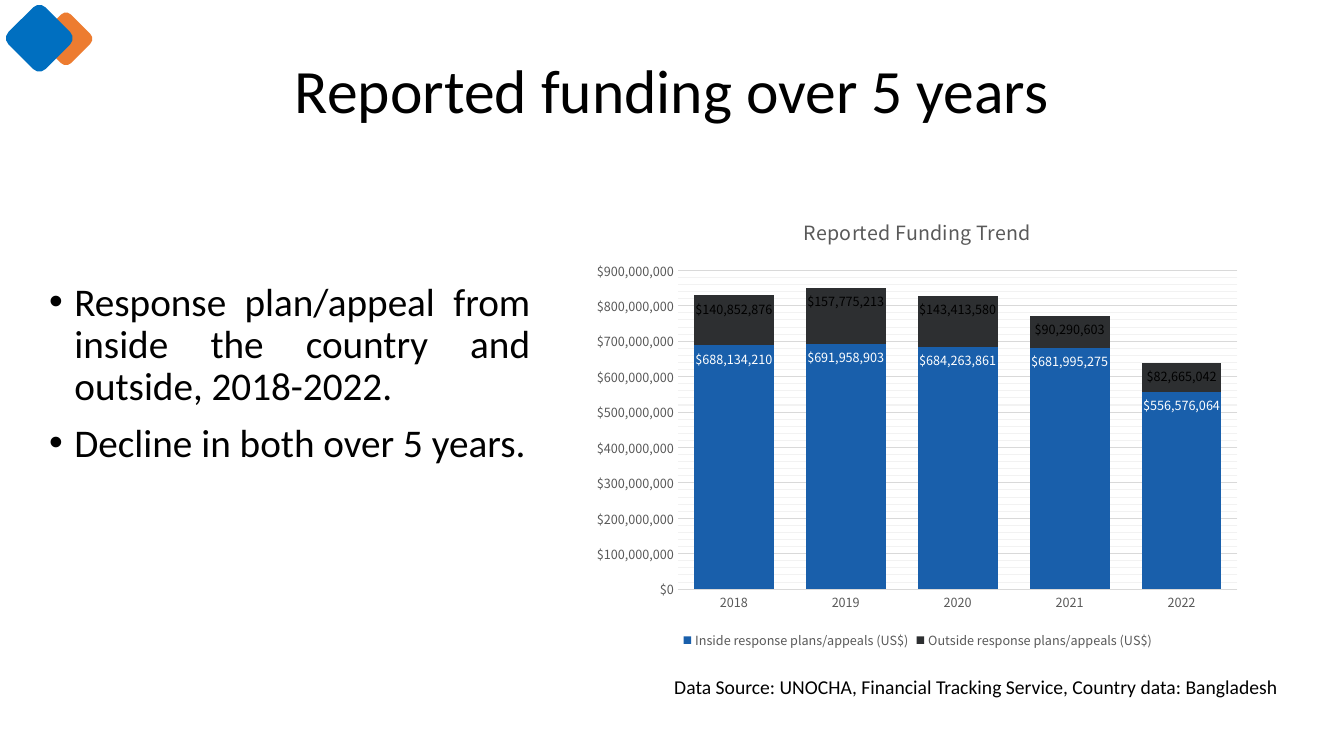
from dataclasses import dataclass

from lxml import etree
from pptx import Presentation
from pptx import util as u
from pptx.chart.data import CategoryChartData
from pptx.dml.color import RGBColor
from pptx.enum import chart as ch, shapes, text
from pptx.oxml import parse_xml
from pptx.oxml.ns import nsdecls, qn

Pt = u.Pt
COLORS = {"blue": "006FC0", "orange": "ED7C30", "black": "000000", "white": "FFFFFF",
          "grey": "595959", "grid": "D9D9D9", "minor_grid": "F2F2F2",
          "inside": "195FAB", "outside": "2D2F31"}
BODY_FONT, CHART_FONT = "Calibri", "Noto Sans CJK SC"


@dataclass
class Diamond:
    left: float
    top: float
    side: float
    color: str


@dataclass
class TextBlock:
    left: float
    top: float
    width: float
    height: float
    lines: list[str]
    size: float
    align: text.PP_ALIGN = text.PP_ALIGN.LEFT
    anchor: text.MSO_ANCHOR = text.MSO_ANCHOR.TOP
    spacing: float = 1.0
    bulleted: bool = False


@dataclass
class FundingSeries:
    name: str
    values: list[int]
    color: str
    label_color: str


DIAMONDS = [Diamond(32.4, 13, 29.5, "orange"), Diamond(9.4, 8.6, 37.4, "blue")]
TEXTS = [
    TextBlock(66.2, 28.8, 828, 76.3, ["Reported funding over 5 years"], 44,
              text.PP_ALIGN.CENTER, text.MSO_ANCHOR.MIDDLE, 0.9),
    TextBlock(28.1, 198, 357.8, 144,
              ["Response plan/appeal from inside the country and outside, 2018-2022.",
               "Decline in both over 5 years."], 28,
              text.PP_ALIGN.JUSTIFY, spacing=0.9, bulleted=True),
    TextBlock(474.5, 478.8, 538.6, 24.5,
              ["Data Source: UNOCHA, Financial Tracking Service, Country data: Bangladesh"], 14),
]
YEARS = ["2018", "2019", "2020", "2021", "2022"]
FUNDING = [
    FundingSeries("Inside response plans/appeals (US$)",
                  [688134210, 691958903, 684263861, 681995275, 556576064], "inside", "white"),
    FundingSeries("Outside response plans/appeals (US$)",
                  [140852876, 157775213, 143413580, 90290603, 82665042], "outside", "black"),
]


def rgb(name: str) -> RGBColor:
    return RGBColor.from_string(COLORS[name])


def style_font(font, name: str, size: float, color: str) -> None:
    font.name, font.size, font.bold = name, Pt(size), False
    font.color.rgb = rgb(color)


def style_line(line, color: str) -> None:
    line.color.rgb = rgb(color)
    line.width = Pt(0.75)


def add_diamond(sl, d: Diamond) -> None:
    sp = sl.shapes.add_shape(shapes.MSO_SHAPE.ROUNDED_RECTANGLE,
                             Pt(d.left), Pt(d.top), Pt(d.side), Pt(d.side))
    sp.rotation = 45
    sp.shadow.inherit = False
    sp.fill.solid()
    sp.fill.fore_color.rgb = rgb(d.color)
    sp.line.fill.background()


def add_bullet(p) -> None:
    pPr = p._p.get_or_add_pPr()
    pPr.set("marL", str(Pt(18)))
    pPr.set("indent", str(-Pt(18)))
    etree.SubElement(pPr, qn("a:buFont")).set("typeface", "Arial")
    etree.SubElement(pPr, qn("a:buChar")).set("char", "•")


def add_text(sl, block: TextBlock) -> None:
    sp = sl.shapes.add_textbox(Pt(block.left), Pt(block.top), Pt(block.width), Pt(block.height))
    tf = sp.text_frame
    tf.text = "\n".join(block.lines)
    tf.word_wrap = True
    tf.vertical_anchor = block.anchor
    for p in tf.paragraphs:
        p.alignment, p.line_spacing = block.align, block.spacing
        if block.bulleted:
            p.space_before = Pt(10)
            add_bullet(p)
        for r in p.runs:
            style_font(r.font, BODY_FONT, block.size, "black")


def set_plot_area(chart, x: float, y: float, w: float, h: float) -> None:
    """Fix the inner plot area, in fractions of the chart."""
    plot_area = chart._chartSpace.chart.plotArea
    for old in plot_area.findall(qn("c:layout")):
        plot_area.remove(old)
    sizes = "".join(f'<c:{tag} val="{val}"/>' for tag, val in zip("xywh", (x, y, w, h)))
    plot_area.insert(0, parse_xml(
        f'<c:layout {nsdecls("c")}><c:manualLayout><c:layoutTarget val="inner"/>'
        f'<c:xMode val="edge"/><c:yMode val="edge"/>{sizes}</c:manualLayout></c:layout>'))


def add_minor_gridlines(axis, color: str) -> None:
    axis.has_minor_gridlines = True
    axis._element.find(qn("c:minorGridlines")).append(parse_xml(
        f'<c:spPr {nsdecls("c", "a")}><a:ln w="{Pt(0.75)}"><a:solidFill>'
        f'<a:srgbClr val="{COLORS[color]}"/></a:solidFill></a:ln></c:spPr>'))


def style_axes(chart) -> None:
    years, dollars = chart.category_axis, chart.value_axis
    for axis in (years, dollars):
        axis.major_tick_mark = axis.minor_tick_mark = ch.XL_TICK_MARK.NONE
        style_font(axis.tick_labels.font, CHART_FONT, 9, "grey")
    style_line(years.format.line, "grid")
    dollars.format.line.fill.background()
    dollars.minimum_scale, dollars.maximum_scale = 0, 900_000_000
    dollars.major_unit, dollars.minor_unit = 100_000_000, 20_000_000
    dollars.tick_labels.number_format = '"$"#,##0'
    dollars.tick_labels.number_format_is_linked = False
    dollars.has_major_gridlines = True
    style_line(dollars.major_gridlines.format.line, "grid")
    add_minor_gridlines(dollars, "minor_grid")


def add_funding_chart(sl) -> None:
    data = CategoryChartData(number_format='"$"#,##0')
    data.categories = YEARS
    for item in FUNDING:
        data.add_series(item.name, item.values)
    chart = sl.shapes.add_chart(ch.XL_CHART_TYPE.COLUMN_STACKED, Pt(417.6), Pt(141.1),
                                Pt(475.9), Pt(325.4), data).chart
    style_font(chart.font, CHART_FONT, 10, "black")

    chart.has_title = True
    title = chart.chart_title
    title.include_in_layout = False
    title.text_frame.text = "Reported Funding Trend"
    style_font(title.text_frame.paragraphs[0].runs[0].font, CHART_FONT, 14, "grey")

    chart.has_legend = True
    chart.legend.position = ch.XL_LEGEND_POSITION.BOTTOM
    chart.legend.include_in_layout = False
    style_font(chart.legend.font, CHART_FONT, 9, "grey")

    style_axes(chart)
    set_plot_area(chart, 0.14, 0.16, 0.84, 0.7)
    plot = chart.plots[0]
    plot.gap_width, plot.overlap, plot.vary_by_categories = 40, 100, False
    for series, item in zip(plot.series, FUNDING):
        series.format.fill.solid()
        series.format.fill.fore_color.rgb = rgb(item.color)
        labels = series.data_labels
        labels.show_value = True
        labels.position = ch.XL_LABEL_POSITION.INSIDE_END
        style_font(labels.font, CHART_FONT, 9, item.label_color)


def main() -> None:
    prs = Presentation()
    prs.slide_width, prs.slide_height = Pt(960), Pt(540)
    sl = prs.slides.add_slide(prs.slide_layouts[6])
    for d in DIAMONDS:
        add_diamond(sl, d)
    for block in TEXTS:
        add_text(sl, block)
    add_funding_chart(sl)
    prs.save("out.pptx")


if __name__ == "__main__":
    main()
